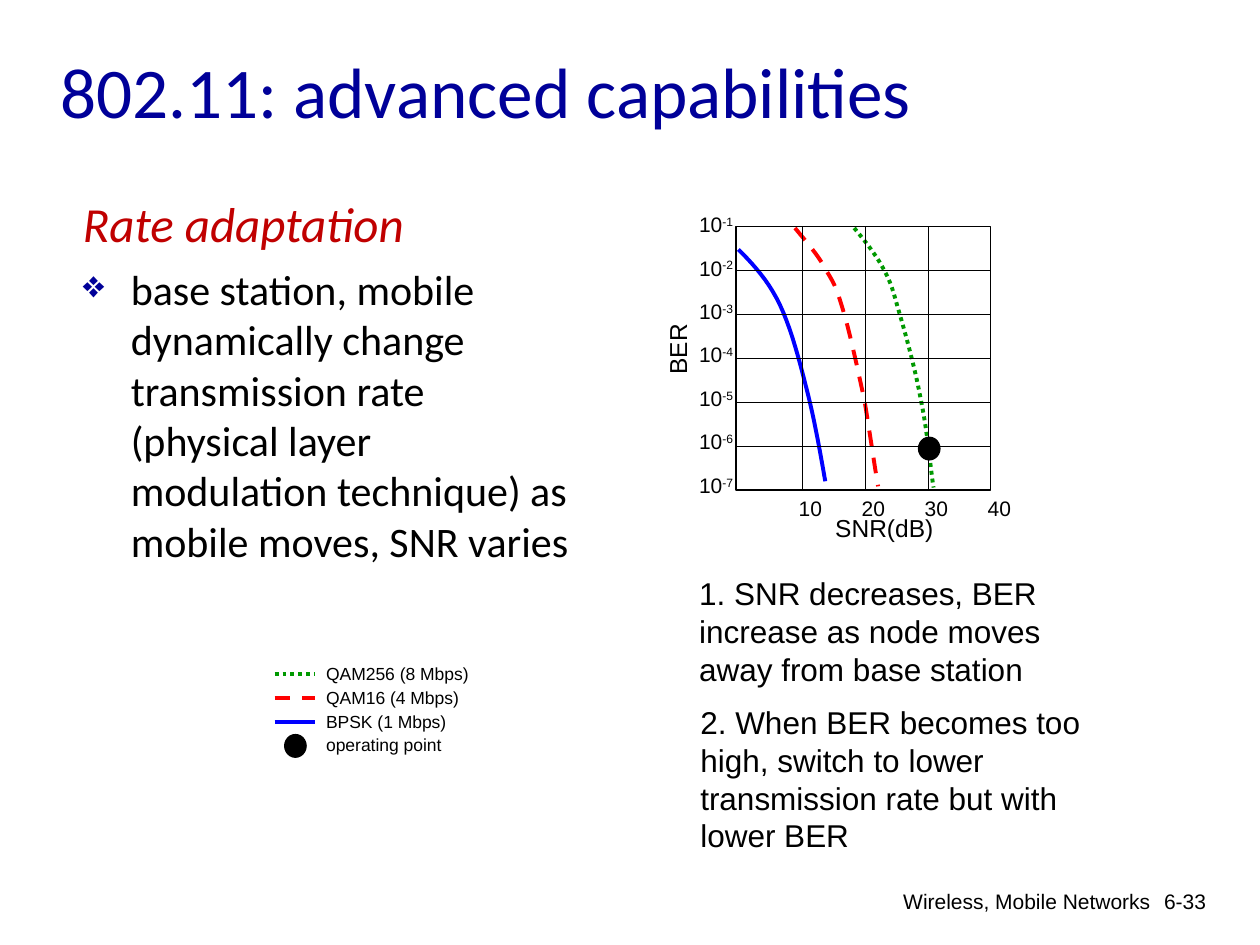
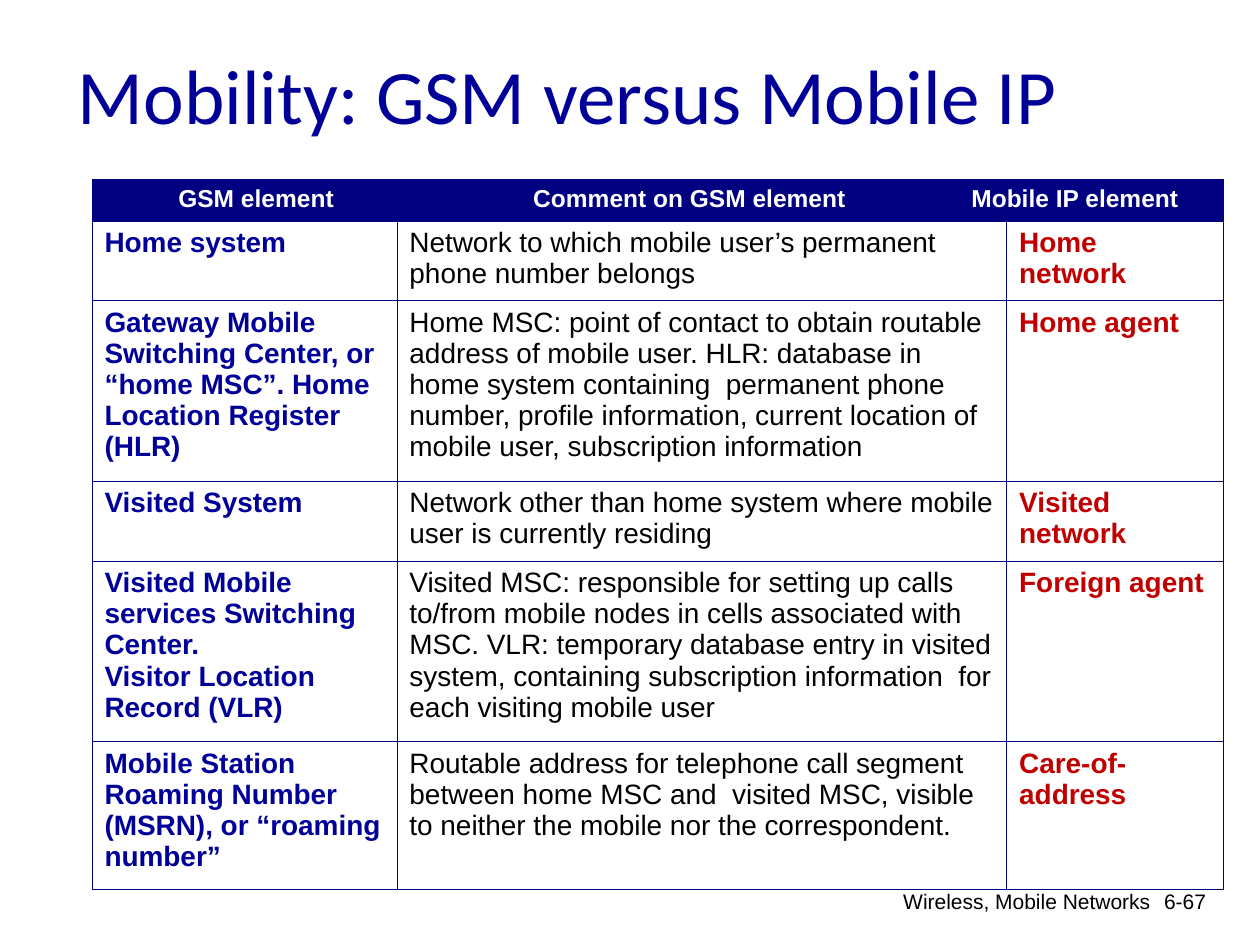
from lxml import etree
from pptx import Presentation
from pptx.dml.color import RGBColor
from pptx.enum.dml import MSO_LINE
from pptx.enum.shapes import MSO_CONNECTOR, MSO_SHAPE
from pptx.enum.text import MSO_ANCHOR, MSO_AUTO_SIZE, PP_ALIGN
from pptx.oxml.ns import qn
from pptx.util import Inches, Pt

STRAIGHT = MSO_CONNECTOR.STRAIGHT
RECTANGLE = MSO_SHAPE.RECTANGLE
OVAL = MSO_SHAPE.OVAL
DASH = MSO_LINE.DASH
DOTTED = MSO_LINE.ROUND_DOT
MIDDLE = MSO_ANCHOR.MIDDLE
FIT_SHAPE = MSO_AUTO_SIZE.SHAPE_TO_FIT_TEXT
CENTER = PP_ALIGN.CENTER
RIGHT = PP_ALIGN.RIGHT

BLACK = "000000"
WHITE = "FFFFFF"
TITLE_BLUE = "000099"
TABLE_NAVY = "000080"
ACCENT_RED = "C00000"
SANS = "Arial"
HEADING = "Calibri"

QAM256 = ("009900", DOTTED)
QAM16 = ("FF0000", DASH)
BPSK = ("0000FF", None)
LEGEND = [
    ("QAM256 (8 Mbps)", QAM256),
    ("QAM16 (4 Mbps)", QAM16),
    ("BPSK (1 Mbps)", BPSK),
    ("operating point", None),
]
CURVES = [
    (BPSK, [(0.02, 0.18), (0.14, 0.3), (0.26, 0.43), (0.35, 0.62), (0.44, 0.81),
            (0.51, 1.08), (0.57, 1.32), (0.63, 1.55), (0.69, 1.91), (0.71, 2.02)]),
    (QAM16, [(0.47, 0.01), (0.56, 0.12), (0.66, 0.23), (0.72, 0.35), (0.79, 0.46),
             (0.81, 0.52), (0.86, 0.69), (0.91, 0.86), (0.97, 1.14), (1.02, 1.37),
             (1.06, 1.6), (1.09, 1.83), (1.13, 2.06)]),
    (QAM256, [(0.94, 0.01), (1.03, 0.12), (1.12, 0.23), (1.18, 0.35), (1.24, 0.46),
              (1.25, 0.52), (1.3, 0.69), (1.35, 0.86), (1.43, 1.15), (1.47, 1.38),
              (1.52, 1.61), (1.55, 1.96), (1.57, 2.07)]),
]
TABLE_HEADER = ["GSM element ", "Comment on GSM element ", "Mobile IP element"]
TABLE_ROWS = [
    ("Home system",
     "Network to which mobile user’s permanent phone number belongs",
     "Home network"),
    ("Gateway Mobile Switching Center, or “home MSC”. Home Location Register (HLR)",
     "Home MSC: point of contact to obtain routable address of mobile user. "
     "HLR: database in home system containing  permanent phone number, profile "
     "information, current location of mobile user, subscription information",
     "Home agent"),
    ("Visited System",
     "Network other than home system where mobile user is currently residing",
     "Visited network"),
    ("Visited Mobile services Switching Center.\nVisitor Location Record (VLR)",
     "Visited MSC: responsible for setting up calls to/from mobile nodes in cells "
     "associated with MSC. VLR: temporary database entry in visited system, "
     "containing subscription information  for each visiting mobile user",
     "Foreign agent"),
    ("Mobile Station Roaming Number (MSRN), or “roaming number”",
     "Routable address for telephone call segment between home MSC and  visited "
     "MSC, visible to neither the mobile nor the correspondent.",
     "Care-of-address"),
]


def rgb(value):
    return RGBColor.from_string(value)


def inches(values):
    return [Inches(value) for value in values]


def format_runs(paragraph, size, color=BLACK, font=SANS, bold=False, italic=False):
    for run in paragraph.runs:
        run.font.size = Pt(size)
        run.font.name = font
        run.font.bold = bold
        run.font.italic = italic
        run.font.color.rgb = rgb(color)


def add_text(slide, box, text, size, color=BLACK, font=SANS, align=None, wrap=True):
    shape = slide.shapes.add_textbox(*inches(box))
    text_frame = shape.text_frame
    text_frame.word_wrap = wrap
    if not wrap:
        text_frame.auto_size = FIT_SHAPE
    text_frame.text = text
    for paragraph in text_frame.paragraphs:
        paragraph.alignment = align
        format_runs(paragraph, size, color, font)
    return shape


def style_line(line, color=BLACK, width=0.75, dash=None):
    line.color.rgb = rgb(color)
    line.width = Pt(width)
    if dash is not None:
        line.dash_style = dash


def add_line(slide, start, end, color=BLACK, width=0.75, dash=None):
    connector = slide.shapes.add_connector(STRAIGHT, *inches(start + end))
    style_line(connector.line, color, width, dash)
    etree.SubElement(connector._element.spPr, qn("a:effectLst"))


def add_dot(slide, left, top):
    dot = slide.shapes.add_shape(OVAL, *inches((left, top, 0.17, 0.18)))
    dot.shadow.inherit = False
    dot.fill.solid()
    dot.fill.fore_color.rgb = rgb(BLACK)
    style_line(dot.line)


def curve_points(controls, steps=10):
    points = [controls[0]]
    for start in range(0, len(controls) - 1, 3):
        segment = controls[start:start + 4]
        for step in range(1, steps + 1):
            t = step / steps
            weights = ((1 - t) ** 3, 3 * t * (1 - t) ** 2, 3 * t ** 2 * (1 - t), t ** 3)
            points.append(tuple(sum(w * point[axis] for w, point in zip(weights, segment))
                                for axis in (0, 1)))
    return points


def add_curve(slide, left, top, controls, color, dash):
    points = [inches((left + x, top + y)) for x, y in curve_points(controls)]
    builder = slide.shapes.build_freeform(*points[0])
    builder.add_line_segments(points[1:], close=False)
    curve = builder.convert_to_shape()
    curve.shadow.inherit = False
    curve.fill.background()
    style_line(curve.line, color, 2.25, dash)


def add_base_slide(presentation, number, title, title_box, title_size, line_spacing=1.0):
    slide = presentation.slides.add_slide(presentation.slide_layouts[6])
    add_text(slide, (5.01, 7, 4.22, 0.35), "Wireless, Mobile Networks", 12, align=RIGHT)
    add_text(slide, (8.93, 7, 0.74, 0.5), number, 12, align=RIGHT)
    text_frame = add_text(slide, title_box, title, title_size, TITLE_BLUE, HEADING).text_frame
    text_frame.vertical_anchor = MIDDLE
    text_frame.paragraphs[0].line_spacing = line_spacing
    return slide


def add_rate_text(slide, box):
    text = ("Rate adaptation\nbase station, mobile dynamically change transmission rate "
            "(physical layer modulation technique) as mobile moves, SNR varies")
    shape = add_text(slide, box, text, 24, font=HEADING)
    heading, item = shape.text_frame.paragraphs
    format_runs(heading, 28, ACCENT_RED, HEADING, italic=True)
    heading.space_before = Pt(7)
    item.space_before = Pt(6)
    for paragraph in (heading, item):
        properties = paragraph._p.get_or_add_pPr()
        properties.set("marL", str(Inches(0.38)))
        properties.set("indent", str(Inches(-0.38)))
    bullet_color = etree.SubElement(properties, qn("a:buClr"))
    etree.SubElement(bullet_color, qn("a:srgbClr"), val=TITLE_BLUE)
    etree.SubElement(properties, qn("a:buSzPct"), val="90000")
    etree.SubElement(properties, qn("a:buChar"), char="❖")


def add_legend(slide, left, top):
    for index, (label, style) in enumerate(LEGEND):
        y = top + 0.19 * index
        if style is None:
            add_dot(slide, left + 0.08, y - 0.09)
        else:
            color, dash = style
            add_line(slide, (left, y), (left + 0.32, y), color, 2.25, dash)
        add_text(slide, (left + 0.31, y - 0.14, 1.5, 0.27), label, 10, wrap=False)


def add_ber_plot(slide, box):
    left, top, width, height = box
    for (color, dash), controls in CURVES:
        add_curve(slide, left, top, controls, color, dash)
    frame = slide.shapes.add_shape(RECTANGLE, *inches(box))
    frame.shadow.inherit = False
    frame.fill.background()
    style_line(frame.line)
    for row in range(1, 6):
        y = top + row * height / 6
        add_line(slide, (left, y), (left + width, y))
    for column in range(4):
        x = left + 0.53 + 0.5 * column
        if column < 3:
            add_line(slide, (x, top), (x, top + height))
        add_text(slide, (x - 0.13, top + 2.08, 0.45, 0.3), str(10 * (column + 1)), 12, wrap=False)
    add_text(slide, (left + 0.69, top + 2.22, 0.98, 0.34), "SNR(dB)", 14, wrap=False)
    axis_title = add_text(slide, (left - 0.76, top + 0.8, 0.6, 0.34), "BER", 14, wrap=False)
    axis_title.rotation = 270
    for row in range(7):
        label_box = (left - 0.39, top - 0.17 + 0.345 * row, 0.47, 0.3)
        paragraph = add_text(slide, label_box, "10", 12, wrap=False).text_frame.paragraphs[0]
        exponent = paragraph.add_run()
        exponent.text = f"-{row + 1}"
        format_runs(paragraph, 12)
        exponent.font._element.set("baseline", "30000")
    add_dot(slide, left + 1.45, top + 1.67)


def set_borders(cell, color, width):
    properties = cell._tc.get_or_add_tcPr()
    for index, side in enumerate(("lnL", "lnR", "lnT", "lnB")):
        border = etree.Element(qn(f"a:{side}"), w=str(Pt(width)))
        fill = etree.SubElement(border, qn("a:solidFill"))
        etree.SubElement(fill, qn("a:srgbClr"), val=color)
        properties.insert(index, border)


def fill_cell(cell, text, size, color, bold, align=None):
    cell.text_frame.text = text
    for paragraph in cell.text_frame.paragraphs:
        paragraph.alignment = align
        format_runs(paragraph, size, color, bold=bold)


def add_comparison_table(slide, box):
    widths = [2.42, 0.24, 4.22, 0.38, 1.72]
    heights = [0.33, 0.63, 1.43, 0.63, 1.43, 1.17]
    table = slide.shapes.add_table(len(heights), len(widths), *inches(box)).table
    table.first_row = table.horz_banding = False
    for column, width in zip(table.columns, widths):
        column.width = Inches(width)
    for row_index, height in enumerate(heights):
        table.rows[row_index].height = Inches(height)
        for column_index in range(len(widths)):
            cell = table.cell(row_index, column_index)
            if row_index == 0:
                cell.fill.solid()
                cell.fill.fore_color.rgb = rgb(TABLE_NAVY)
            else:
                cell.fill.background()
            set_borders(cell, TABLE_NAVY, 0.45)
    table.cell(0, 0).merge(table.cell(0, 1))
    table.cell(0, 3).merge(table.cell(0, 4))
    for column, text, align in zip((0, 2, 3), TABLE_HEADER, (CENTER, CENTER, None)):
        fill_cell(table.cell(0, column), text, 14, WHITE, True, align)
    for row_index, texts in enumerate(TABLE_ROWS, 1):
        table.cell(row_index, 1).merge(table.cell(row_index, 3))
        for column, text, color in zip((0, 1, 4), texts, (TITLE_BLUE, BLACK, ACCENT_RED)):
            fill_cell(table.cell(row_index, column), text, 16, color, column != 1)


def build_capabilities_slide(presentation):
    slide = add_base_slide(presentation, "6-33", "802.11: advanced capabilities",
                           (0.38, 0.3, 8.5, 0.92), 40.7, 0.9)
    add_rate_text(slide, (0.56, 1.49, 4.1, 5.08))
    add_legend(slide, 2.18, 5.35)
    add_ber_plot(slide, (5.84, 1.8, 2.02, 2.09))
    add_text(slide, (5.45, 4.51, 3.5, 1),
             "1. SNR decreases, BER increase as node moves away from base station", 18)
    add_text(slide, (5.46, 5.53, 3.5, 1.3),
             "2. When BER becomes too high, switch to lower transmission rate but with lower BER", 18)


def build_mobility_slide(presentation):
    slide = add_base_slide(presentation, "6-67", "Mobility: GSM versus Mobile IP",
                           (0.52, 0.12, 8.5, 1.25), 44)
    add_comparison_table(slide, (0.73, 1.42, 8.97, 5.64))


def main():
    presentation = Presentation()
    presentation.slide_width = Inches(10)
    presentation.slide_height = Inches(7.5)
    build_capabilities_slide(presentation)
    build_mobility_slide(presentation)
    presentation.save("out.pptx")


if __name__ == "__main__":
    main()
